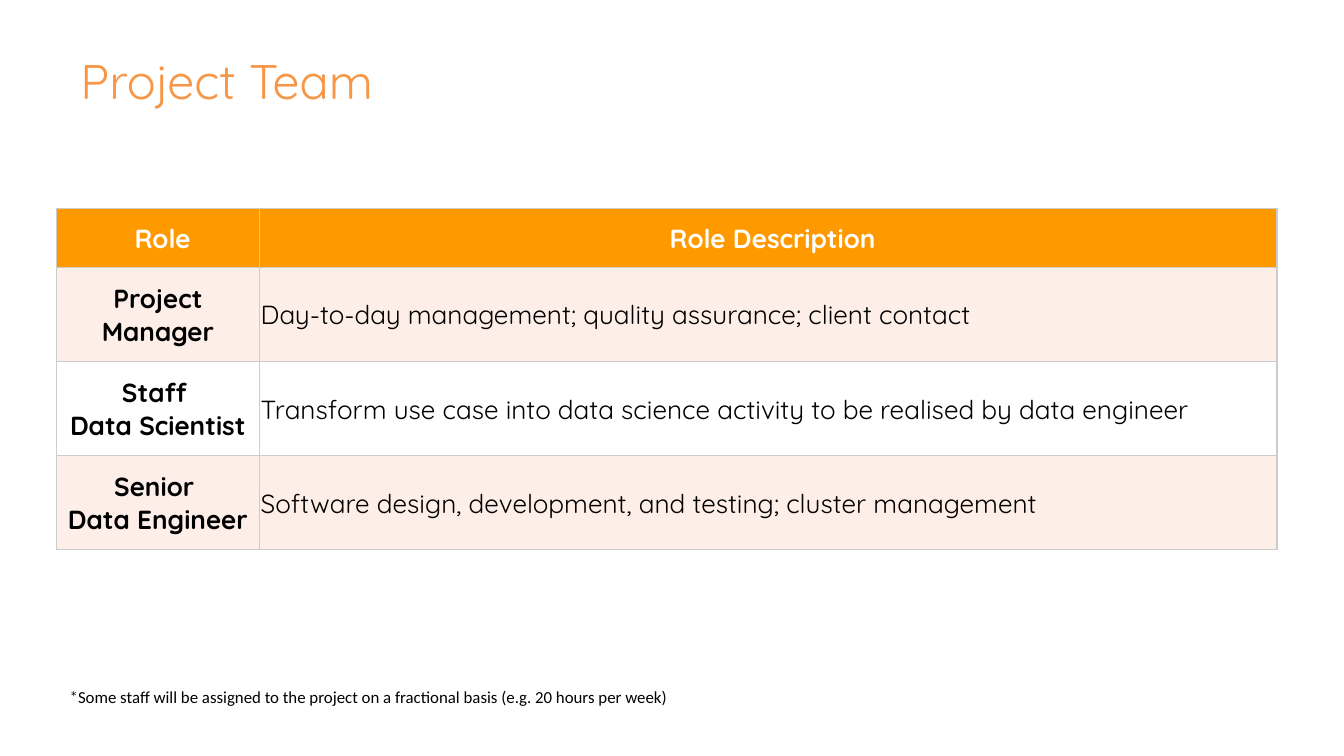
from dataclasses import dataclass

from lxml import etree
from pptx import Presentation
from pptx.dml.color import RGBColor
from pptx.enum import text
from pptx.oxml import ns
from pptx.util import Inches, Pt


@dataclass(frozen=True)
class Theme:
    heading_font: str = "Quicksand"
    note_font: str = "Calibri"
    title_size: float = 26
    table_size: float = 14
    note_size: float = 9
    title: str = "F79646"
    header: str = "FF9900"
    band: str = "FDEEE8"
    white: str = "FFFFFF"
    ink: str = "000000"
    asterisk: str = "1E1E1D"
    border: str = "CCCCCC"


@dataclass(frozen=True)
class Style:
    font: str
    size: float
    color: str
    bold: bool = False


@dataclass(frozen=True)
class Member:
    role: str
    description: str


THEME = Theme()
PAGE_WIDTH = Inches(10)
PAGE_HEIGHT = PAGE_WIDTH * 9 // 16
COLUMN_WIDTHS = (1.51, 7.57)
HEADER_HEIGHT, ROW_HEIGHT = 0.44, 0.7
MEMBERS = (
    Member("Project Manager", "Day-to-day management; quality assurance; client contact"),
    Member("Staff \vData Scientist",
           "Transform use case into data science activity to be realised by data engineer"),
    Member("Senior \vData Engineer",
           "Software design, development, and testing; cluster management"),
)


def set_all(target, values: dict) -> None:
    for name, value in values.items():
        setattr(target, name, value)


def style_span(span, style: Style) -> None:
    set_all(span.font, {"name": style.font, "size": Pt(style.size), "bold": style.bold})
    span.font.color.rgb = RGBColor.from_string(style.color)


def add_text(page, left: float, top: float, width: float, height: float,
             anchor, spans: list[tuple[str, Style]]) -> None:
    box = page.shapes.add_textbox(Inches(left), Inches(top), Inches(width), Inches(height))
    set_all(box.text_frame, {"word_wrap": True, "vertical_anchor": anchor})
    for words, style in spans:
        span = box.text_frame.paragraphs[0].add_run()
        span.text = words
        style_span(span, style)


def set_borders(cell, widths: dict[str, float]) -> None:
    properties = cell._tc.get_or_add_tcPr()
    for position, (side, width) in enumerate(widths.items()):
        line = etree.Element(ns.qn(f"a:ln{side}"), w=str(Pt(width)))
        fill = etree.SubElement(line, ns.qn("a:solidFill"))
        etree.SubElement(fill, ns.qn("a:srgbClr"), val=THEME.border)
        properties.insert(position, line)


def indent_paragraph(para, margin: float, first_line: float) -> None:
    properties = para._p.get_or_add_pPr()
    properties.set("marL", str(Inches(margin)))
    properties.set("indent", str(Inches(first_line)))


def fill_cell(cell, words: str, style: Style, fill: str, centered: bool, first: bool) -> None:
    set_all(cell, {
        "margin_left": Inches(0.01), "margin_right": Inches(0.01),
        "margin_top": Inches(0.01), "margin_bottom": 0,
        "vertical_anchor": text.MSO_ANCHOR.MIDDLE,
    })
    cell.fill.solid()
    cell.fill.fore_color.rgb = RGBColor.from_string(fill)
    para = cell.text_frame.paragraphs[0]
    para.text = words
    para.alignment = text.PP_ALIGN.CENTER if centered else text.PP_ALIGN.LEFT
    for span in para.runs:
        style_span(span, style)
    left, right = (1, 0.75) if first else (0.75, 1)
    set_borders(cell, {"L": left, "R": right, "T": 1, "B": 1})


def add_team_table(page, left: float, top: float) -> None:
    heights = [HEADER_HEIGHT] + [ROW_HEIGHT] * len(MEMBERS)
    table = page.shapes.add_table(
        len(heights), len(COLUMN_WIDTHS), Inches(left), Inches(top),
        Inches(sum(COLUMN_WIDTHS)), Inches(sum(heights))).table
    for column, width in zip(table.columns, COLUMN_WIDTHS):
        column.width = Inches(width)
    for row, height in zip(table.rows, heights):
        row.height = Inches(height)

    # Header row
    header_style = Style(THEME.heading_font, THEME.table_size, THEME.white, True)
    for index, words in enumerate(("Role", "Role Description")):
        cell = table.cell(0, index)
        fill_cell(cell, words, header_style, THEME.header, True, index == 0)
        indent_paragraph(cell.text_frame.paragraphs[0], 0.08, -0.01)

    # Member rows with alternating bands
    role_style = Style(THEME.heading_font, THEME.table_size, THEME.ink, True)
    description_style = Style(THEME.heading_font, THEME.table_size, THEME.ink)
    for index, member in enumerate(MEMBERS, start=1):
        fill = THEME.band if index % 2 else THEME.white
        fill_cell(table.cell(index, 0), member.role, role_style, fill, True, True)
        fill_cell(table.cell(index, 1), member.description, description_style,
                  fill, False, False)


def main() -> None:
    deck = Presentation()
    set_all(deck, {"slide_width": PAGE_WIDTH, "slide_height": PAGE_HEIGHT})
    page = deck.slides.add_slide(deck.slide_layouts[6])

    # Title
    add_text(page, 0.5, 0.21, 9, 0.77, text.MSO_ANCHOR.MIDDLE, [
        ("Project Team", Style(THEME.heading_font, THEME.title_size, THEME.title))])

    # Team roles
    add_team_table(page, 0.42, 1.55)

    # Footnote
    add_text(page, 0.42, 5.06, 8.58, 0.44, text.MSO_ANCHOR.TOP, [
        ("*", Style(THEME.note_font, THEME.note_size, THEME.asterisk)),
        ("Some staff will be assigned to the project on a fractional basis "
         "(e.g. 20 hours per week)", Style(THEME.note_font, THEME.note_size, THEME.ink))])

    deck.save("out.pptx")


if __name__ == "__main__":
    main()
